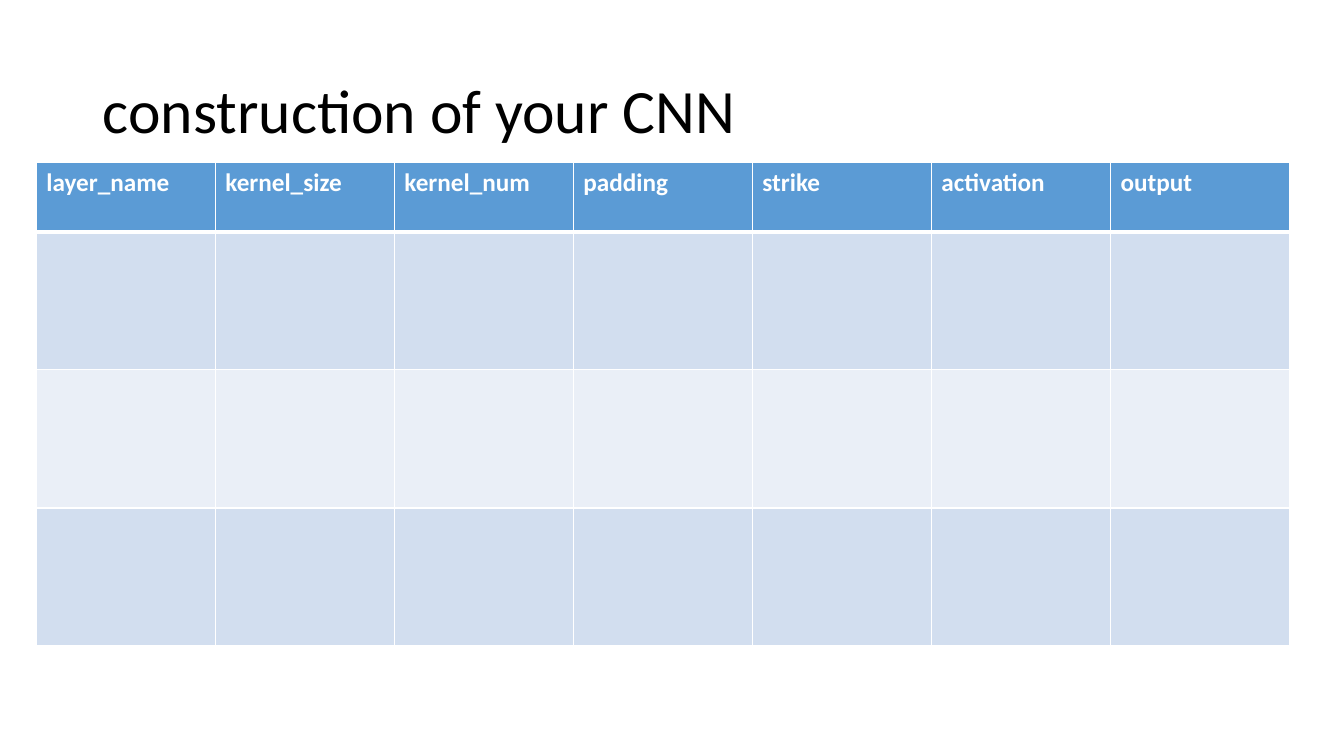
from dataclasses import dataclass

from lxml import etree
from pptx import Presentation
from pptx import util as u
from pptx.dml.color import RGBColor
from pptx.enum import text
from pptx.oxml.ns import qn


@dataclass(frozen=True)
class Theme:
    font: str = "Calibri"
    title_size: int = 44
    cell_size: int = 18
    title_color: str = "000000"
    white: str = "FFFFFF"
    header_fill: str = "5B9BD5"
    band_fills: tuple = ("D2DEEF", "EAEFF7")
    border: int = 1
    header_border: int = 3


THEME = Theme()
COLUMNS = ("layer_name", "kernel_size", "kernel_num", "padding",
           "strike", "activation", "output")
ROW_HEIGHTS = (0.69, 1.37, 1.37, 1.37)


def write(tf, content, *, size, color, bold=False, spacing=1.0,
          align=text.PP_ALIGN.LEFT):
    p = tf.paragraphs[0]
    p.alignment = align
    p.line_spacing = spacing
    r = p.add_run()
    r.text = content
    r.font.name = THEME.font
    r.font.size = u.Pt(size)
    r.font.bold = bold
    r.font.color.rgb = RGBColor.from_string(color)


def add_title(s, content, left, top, width, height):
    sp = s.shapes.title
    sp.left, sp.top = u.Inches(left), u.Inches(top)
    sp.width, sp.height = u.Inches(width), u.Inches(height)
    tf = sp.text_frame
    tf.word_wrap = True
    tf.vertical_anchor = text.MSO_ANCHOR.MIDDLE
    write(tf, content, size=THEME.title_size, color=THEME.title_color,
          spacing=0.9)


def style_cell(cell, fill, **borders):
    """Fill a cell and draw its edges; borders maps L, R, T, B to points."""
    tc_pr = cell._tc.get_or_add_tcPr()
    for side, points in borders.items():
        ln = etree.SubElement(tc_pr, qn(f"a:ln{side}"), w=str(u.Pt(points)))
        solid = etree.SubElement(ln, qn("a:solidFill"))
        etree.SubElement(solid, qn("a:srgbClr"), val=THEME.white)
    cell.fill.solid()
    cell.fill.fore_color.rgb = RGBColor.from_string(fill)


def add_layer_table(s, left, top, width):
    table = s.shapes.add_table(
        len(ROW_HEIGHTS), len(COLUMNS), u.Inches(left), u.Inches(top),
        u.Inches(width), u.Inches(sum(ROW_HEIGHTS))).table
    for column in table.columns:
        column.width = u.Inches(width / len(COLUMNS))
    for i, (row, height) in enumerate(zip(table.rows, ROW_HEIGHTS)):
        row.height = u.Inches(height)
        fill = THEME.band_fills[(i - 1) % 2] if i else THEME.header_fill
        above = THEME.header_border if i == 1 else THEME.border
        below = THEME.header_border if i == 0 else THEME.border
        for cell in row.cells:
            style_cell(cell, fill, L=THEME.border, R=THEME.border,
                       T=above, B=below)
    for cell, name in zip(table.rows[0].cells, COLUMNS):
        write(cell.text_frame, name, size=THEME.cell_size,
              color=THEME.white, bold=True)


def main():
    prs = Presentation()
    prs.slide_width, prs.slide_height = u.Inches(13.33), u.Inches(7.5)
    s = prs.slides.add_slide(prs.slide_layouts.get_by_name("Title Only"))
    add_title(s, "construction of your CNN", 0.92, 0.4, 11.5, 1.45)
    add_layer_table(s, 0.36, 1.61, 12.43)
    prs.save("out.pptx")


if __name__ == "__main__":
    main()
